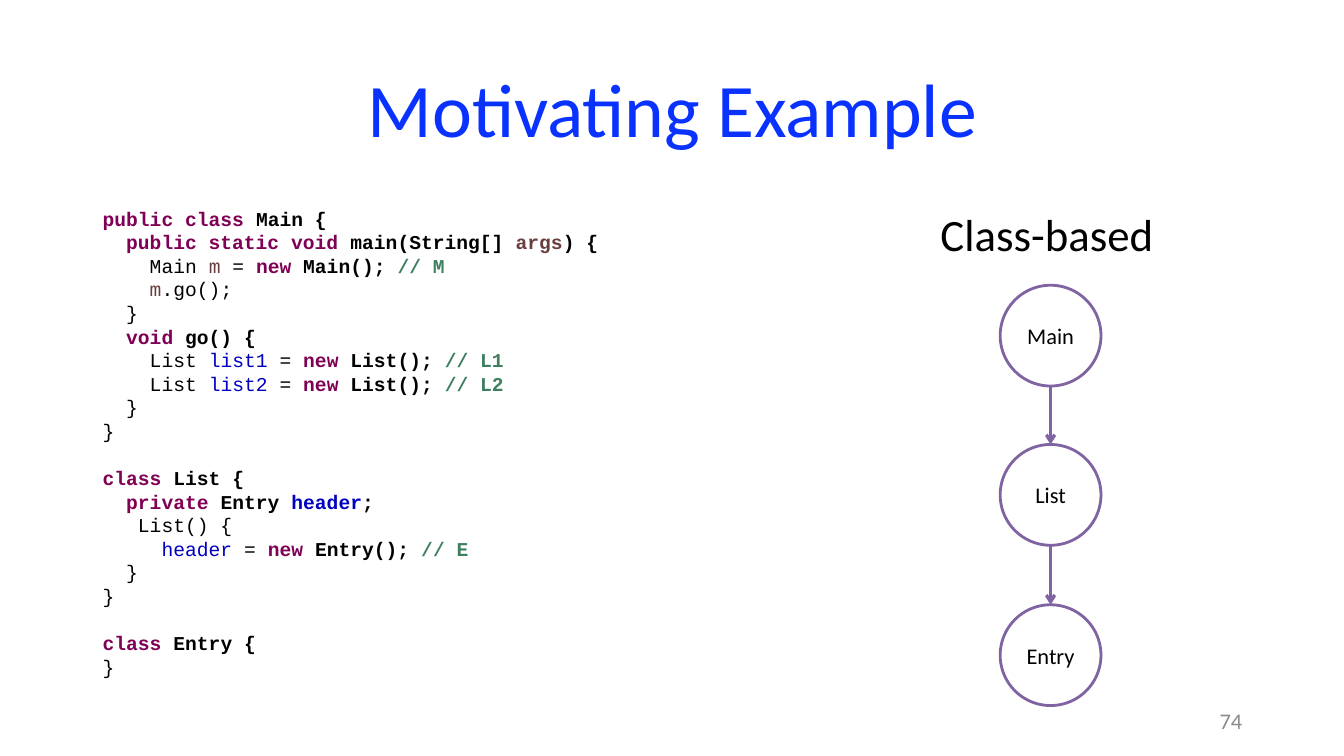
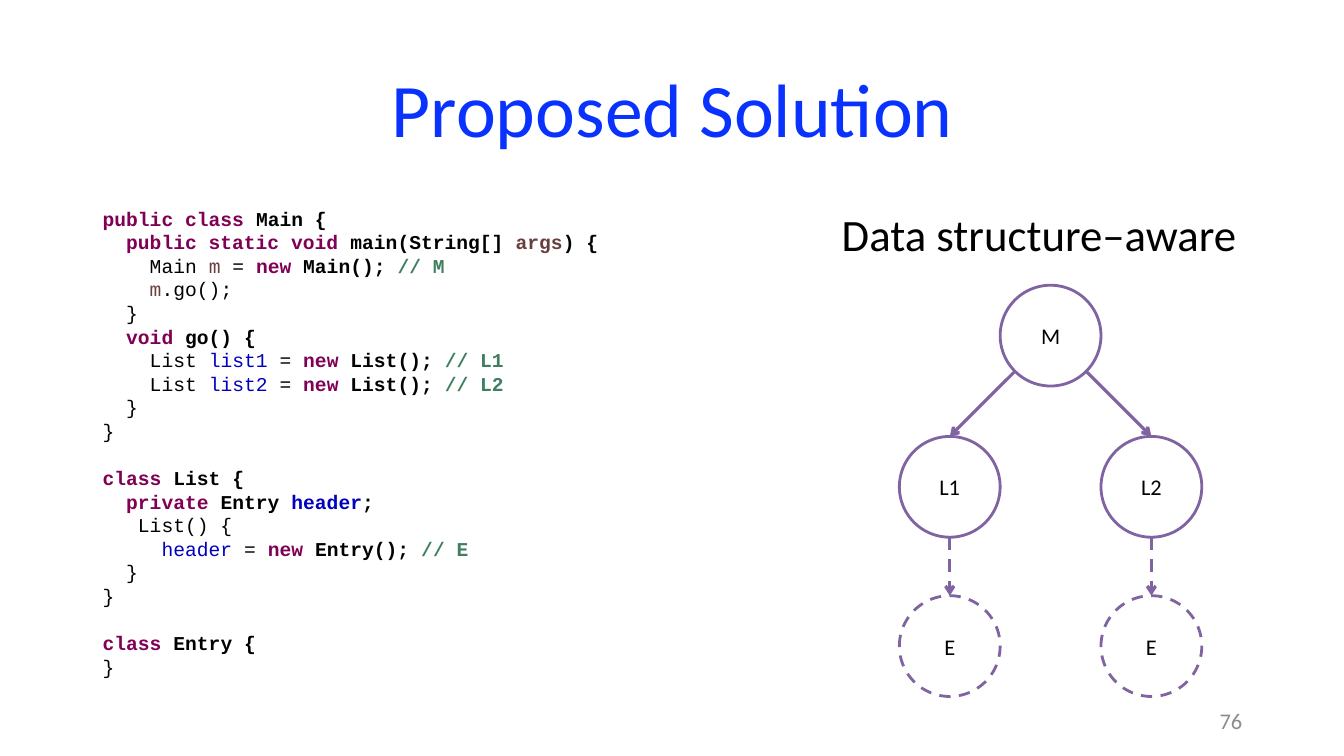
from pptx import Presentation
from pptx import util as u
from pptx.dml.color import RGBColor
from pptx.enum import dml, shapes, text
from pptx.oxml import ns
from lxml import etree

INK, WHITE, BLUE, PURPLE, GREY = "000000", "FFFFFF", "0A32FF", "8064A2", "8C8C8C"
LEFT, MID, RIGHT = text.PP_ALIGN.LEFT, text.PP_ALIGN.CENTER, text.PP_ALIGN.RIGHT
LEAD = u.Pt(16.85)

# Code styles: colour and bold, keyed by the first letter of each piece
STYLES = {
    "k": ("7F0055", True),   # keyword
    "b": (INK, True),
    "p": (INK, False),
    "A": ("6A3E3E", True),   # argument
    "a": ("6A3E3E", False),
    "F": ("0000C0", True),   # field
    "f": ("0000C0", False),
    "c": ("3F7F5F", True),   # note in the code
}
CODE = """kpublic class|b Main {
k  public static void|b main(String[] |Aargs|b) {
p    Main |am|p = |knew|b Main(); |c// M
a    m|p.go();
p  }
k  void|b go() {
p    List |flist1|p = |knew|b List(); |c// L1
p    List |flist2|p = |knew|b List(); |c// L2
p  }
p}

kclass|b List {
k  private|b Entry |Fheader|b;
p   List() {
f     header|p = |knew|b Entry(); |c// E
p  }
p}

kclass|b Entry {
p}"""

# Slides: title, page, label and its left and width,
# nodes (name, centre x, top, dashed) and arrows (from, to, dashed)
X = 10.42
SLIDES = [
    ("Motivating Example", "74", "Class-based", 9.23, 2.44,
     [("Main", X, 2.83, False), ("List", X, 4.41, False), ("Entry", X, 6, False)],
     [(0, 1, False), (1, 2, False)]),
    ("Proposed Solution", "76", "Data structure–aware", 8.25, 4.21,
     [("M", X, 2.83, False), ("L1", X - 1, 4.33, False), ("L2", X + 1, 4.33, False),
      ("E", X - 1, 5.91, True), ("E", X + 1, 5.91, True)],
     [(0, 1, False), (0, 2, False), (1, 3, True), (2, 4, True)]),
]


def rgb(code):
    return RGBColor.from_string(code)


def write(para, words, size, color, align=LEFT, name="Calibri", bold=False):
    para.alignment = align
    run = para.add_run()
    run.text = words
    for key, val in dict(name=name, size=u.Pt(size), bold=bold).items():
        setattr(run.font, key, val)
    run.font.color.rgb = rgb(color)


prs = Presentation()
prs.slide_width, prs.slide_height = u.Inches(13.33), u.Inches(7.5)

for title, page, label, left, width, nodes, arrows in SLIDES:
    slide = prs.slides.add_slide(prs.slide_layouts[5])

    # Title
    head = slide.shapes.title
    for key, val in dict(left=0.92, top=0.4, width=11.5, height=1.45).items():
        setattr(head, key, u.Inches(val))
    head.text_frame.vertical_anchor = text.MSO_ANCHOR.MIDDLE
    para = head.text_frame.paragraphs[0]
    para.line_spacing = 0.9
    write(para, title, 54, BLUE, MID)

    # Code, with a space above each later class
    box = slide.shapes.add_textbox(*map(u.Inches, (0.92, 2, 6.17, 4.81)))
    frame = box.text_frame
    frame.word_wrap = True
    for b, block in enumerate(CODE.split("\n\n")):
        for i, line in enumerate(block.split("\n")):
            first = b == i == 0
            para = frame.paragraphs[0] if first else frame.add_paragraph()
            para.line_spacing = LEAD
            if b and not i:
                para.space_before = LEAD
            for piece in line.split("|"):
                color, bold = STYLES[piece[0]]
                write(para, piece[1:], 14, color, name="Courier New", bold=bold)

    # Label and page number
    for words, size, color, align, place in (
            (label, 32, INK, LEFT, (left, 2, width, 0.64)),
            (page, 16, GREY, RIGHT, (9.42, 6.95, 3, 0.4))):
        box = slide.shapes.add_textbox(*map(u.Inches, place))
        box.text_frame.word_wrap = True
        box.text_frame.vertical_anchor = text.MSO_ANCHOR.MIDDLE
        write(box.text_frame.paragraphs[0], words, size, color, align)

    # Nodes
    for name, x, top, dashed in nodes:
        node = slide.shapes.add_shape(shapes.MSO_SHAPE.OVAL,
                                      *map(u.Inches, (x - 0.5, top, 1, 1)))
        node.shadow.inherit = False
        node.fill.solid()
        node.fill.fore_color.rgb = rgb(WHITE)
        node.line.color.rgb = rgb(PURPLE)
        node.line.width = u.Pt(2)
        if dashed:
            node.line.dash_style = dml.MSO_LINE.DASH
        node.text_frame.word_wrap = False
        node.text_frame.vertical_anchor = text.MSO_ANCHOR.MIDDLE
        write(node.text_frame.paragraphs[0], name, 16, INK, MID)

    # Arrows leave from the bottom, or at 45 degrees towards a side
    for start, end, dashed in arrows:
        x, top = nodes[start][1:3]
        goal, low = nodes[end][1:3]
        side = (goal > x) - (goal < x)
        drop = 0.85 if side else 1
        arrow = slide.shapes.add_connector(
            shapes.MSO_CONNECTOR.STRAIGHT,
            *map(u.Inches, (x + 0.35 * side, top + drop, goal, low)))
        arrow.line.color.rgb = rgb(PURPLE)
        arrow.line.width = u.Pt(2.25)
        if dashed:
            arrow.line.dash_style = dml.MSO_LINE.DASH
        etree.SubElement(arrow.line._get_or_add_ln(), ns.qn("a:tailEnd"), type="arrow")
        etree.SubElement(arrow._element.spPr, ns.qn("a:effectLst"))

prs.save("out.pptx")
